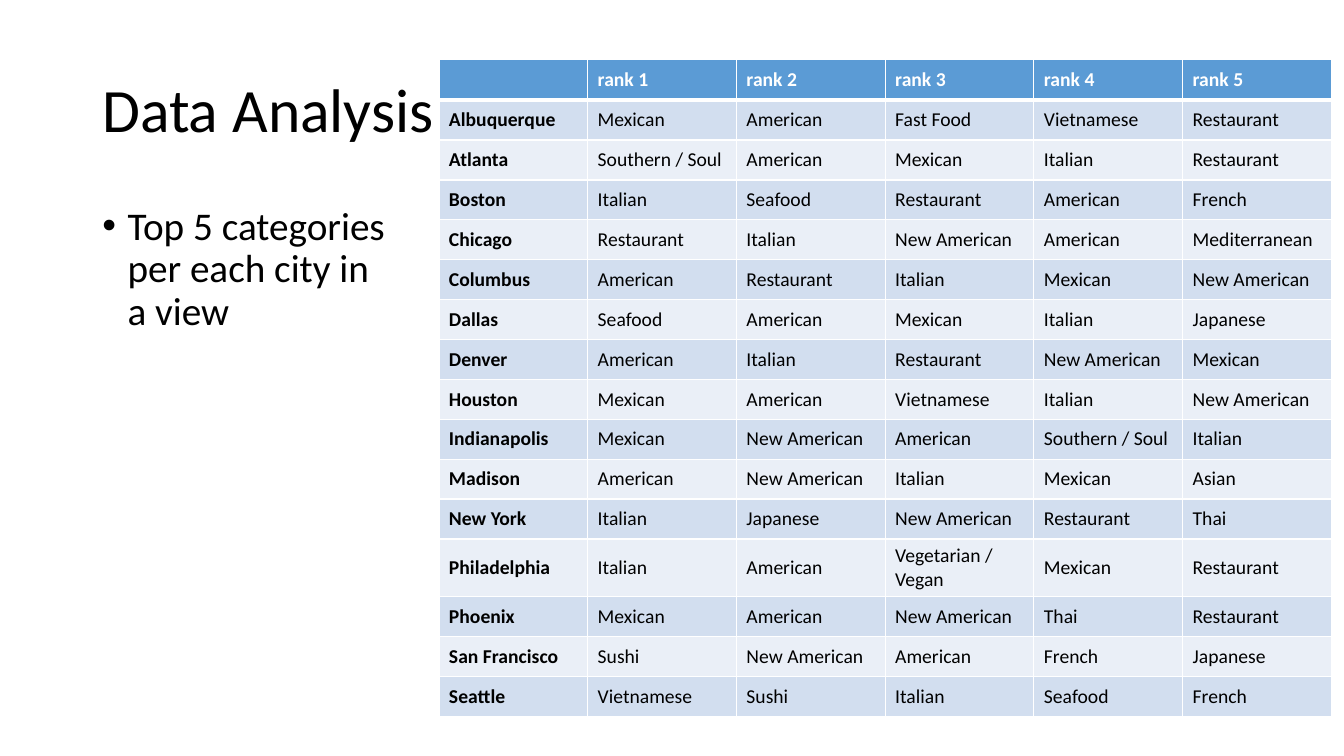
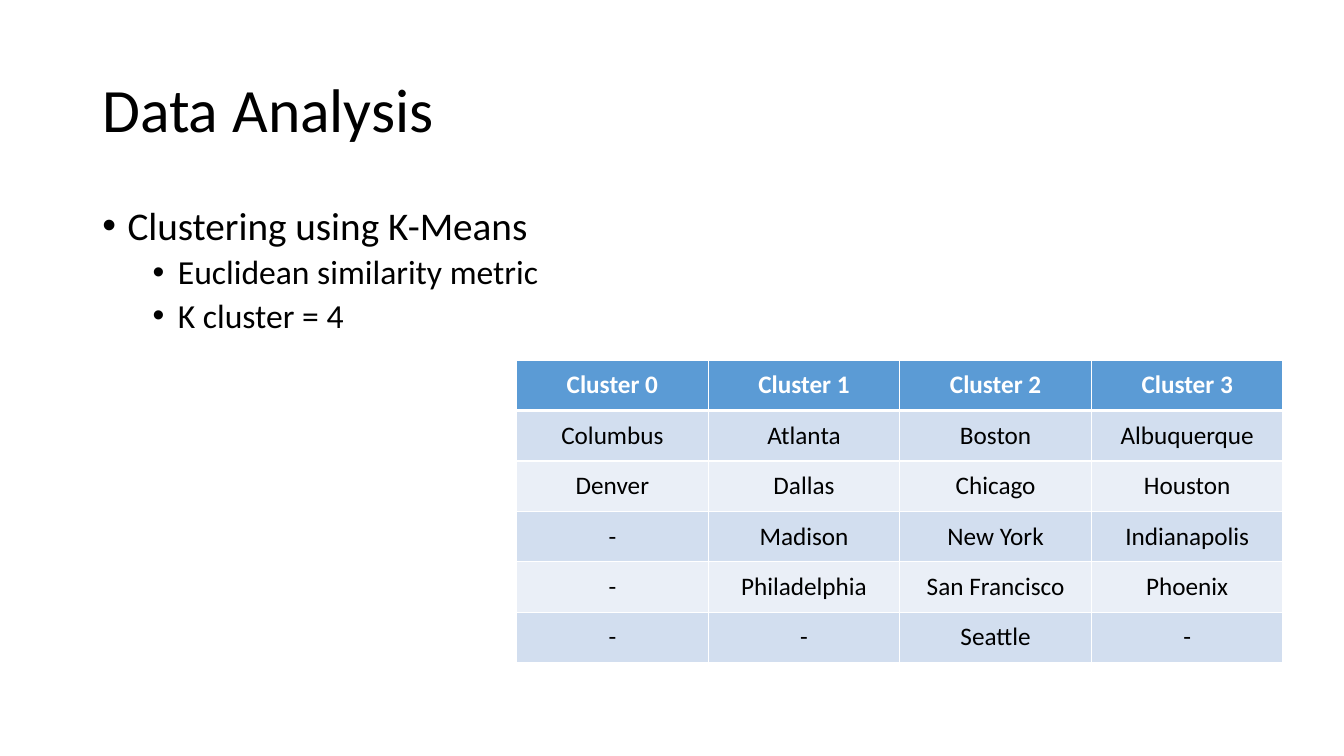
import dataclasses

import pptx
import pptx.dml.color
import pptx.enum.text
import pptx.oxml
import pptx.oxml.ns
import pptx.util

ANCHOR = pptx.enum.text.MSO_ANCHOR
ALIGN = pptx.enum.text.PP_ALIGN
SCALE = 9525


def px(num):
    return pptx.util.Emu(num * SCALE)


@dataclasses.dataclass(frozen=True)
class Theme:
    font: str = "Calibri"
    ink: str = "000000"
    white: str = "FFFFFF"
    head: str = "5B9BD5"
    bands: tuple = ("D2DEEF", "EAEFF7")
    title: int = 44
    levels: tuple = ((28, 24, 10), (24, 72, 5))
    hang: int = 24
    lead: float = 0.9
    thin: int = 1
    thick: int = 3


def apply(item, values):
    for name, value in values.items():
        setattr(item, name, value)


class Deck:
    def __init__(self, theme):
        self.theme = theme
        self.show = pptx.Presentation()
        apply(self.show, {"slide_width": px(1280), "slide_height": px(720)})
        self.slide = None

    def page(self, title):
        self.slide = self.show.slides.add_slide(self.show.slide_layouts[6])
        para = self.frame((88, 38, 1104, 139), ANCHOR.MIDDLE).paragraphs[0]
        para.line_spacing = self.theme.lead
        self.label(para, title, self.theme.title)

    def frame(self, box, anchor):
        frame = self.slide.shapes.add_textbox(*map(px, box)).text_frame
        apply(frame, {"word_wrap": True, "vertical_anchor": anchor})
        return frame

    def label(self, para, text, size, color=None, bold=False):
        run = para.add_run()
        run.text = text
        apply(run.font, {
            "name": self.theme.font,
            "size": pptx.util.Pt(size),
            "bold": bold,
        })
        run.font.color.rgb = pptx.dml.color.RGBColor.from_string(
            color or self.theme.ink)

    def bullets(self, box, items):
        frame = self.frame(box, ANCHOR.TOP)
        for index, (level, text) in enumerate(items):
            para = frame.add_paragraph() if index else frame.paragraphs[0]
            size, left, gap = self.theme.levels[level]
            apply(para, {
                "level": level,
                "line_spacing": self.theme.lead,
                "space_before": pptx.util.Pt(gap),
            })
            props = para._p.get_or_add_pPr()
            props.set("marL", str(px(left)))
            props.set("indent", str(-px(self.theme.hang)))
            for tag, key, value in (("buFont", "typeface", "Arial"),
                                    ("buChar", "char", "•")):
                mark = pptx.oxml.ns.qn("a:" + tag)
                props.append(props.makeelement(mark, {key: value}))
            self.label(para, text, size)

    def border(self, cell, sides):
        props = cell._tc.get_or_add_tcPr()
        space = pptx.oxml.ns.nsdecls("a")
        for index, (side, width) in enumerate(sides.items()):
            line = pptx.oxml.parse_xml(
                f'<a:ln{side} {space} w="{pptx.util.Pt(width)}">'
                f'<a:solidFill><a:srgbClr val="{self.theme.white}"/>'
                f'</a:solidFill></a:ln{side}>')
            props.insert(index, line)

    def table(self, place, width, rows, heights, size, align, lead=False):
        theme = self.theme
        count = len(rows[0])
        box = (*place, width, sum(heights))
        table = self.slide.shapes.add_table(
            len(rows), count, *map(px, box)).table
        apply(table, {"first_row": False, "horz_banding": False})
        for column in table.columns:
            column.width = px(width) // count
        for r, row in enumerate(rows):
            table.rows[r].height = px(heights[r])
            fill = theme.bands[(r - 1) % 2] if r else theme.head
            sides = {
                "L": theme.thin,
                "R": theme.thin,
                "T": theme.thick if r == 1 else theme.thin,
                "B": theme.thin if r else theme.thick,
            }
            for c, text in enumerate(row):
                cell = table.cell(r, c)
                cell.vertical_anchor = ANCHOR.MIDDLE
                cell.fill.solid()
                cell.fill.fore_color.rgb = (
                    pptx.dml.color.RGBColor.from_string(fill))
                self.border(cell, sides)
                para = cell.text_frame.paragraphs[0]
                para.alignment = align
                self.label(para, text, size,
                           theme.ink if r else theme.white,
                           r == 0 or (lead and c == 0))


RANKS = [
    ("", *(f"rank {n}" for n in range(1, 6))),
    ("Albuquerque", "Mexican", "American", "Fast Food", "Vietnamese", "Restaurant"),
    ("Atlanta", "Southern / Soul", "American", "Mexican", "Italian", "Restaurant"),
    ("Boston", "Italian", "Seafood", "Restaurant", "American", "French"),
    ("Chicago", "Restaurant", "Italian", "New American", "American", "Mediterranean"),
    ("Columbus", "American", "Restaurant", "Italian", "Mexican", "New American"),
    ("Dallas", "Seafood", "American", "Mexican", "Italian", "Japanese"),
    ("Denver", "American", "Italian", "Restaurant", "New American", "Mexican"),
    ("Houston", "Mexican", "American", "Vietnamese", "Italian", "New American"),
    ("Indianapolis", "Mexican", "New American", "American", "Southern / Soul", "Italian"),
    ("Madison", "American", "New American", "Italian", "Mexican", "Asian"),
    ("New York", "Italian", "Japanese", "New American", "Restaurant", "Thai"),
    ("Philadelphia", "Italian", "American", "Vegetarian / Vegan", "Mexican", "Restaurant"),
    ("Phoenix", "Mexican", "American", "New American", "Thai", "Restaurant"),
    ("San Francisco", "Sushi", "New American", "American", "French", "Japanese"),
    ("Seattle", "Vietnamese", "Sushi", "Italian", "Seafood", "French"),
]

GROUPS = [
    tuple(f"Cluster {n}" for n in range(4)),
    ("Columbus", "Atlanta", "Boston", "Albuquerque"),
    ("Denver", "Dallas", "Chicago", "Houston"),
    ("-", "Madison", "New York", "Indianapolis"),
    ("-", "Philadelphia", "San Francisco", "Phoenix"),
    ("-", "-", "Seattle", "-"),
]


def main():
    deck = Deck(Theme())

    deck.page("Data Analysis")
    deck.bullets((88, 192, 299, 457),
                 [(0, "Top 5 categories per each city in a view")])
    tall = [55 if row[0] == "Philadelphia" else 38 for row in RANKS]
    deck.table((418, 57), 850, RANKS, tall, 14, ALIGN.LEFT, lead=True)

    deck.page("Data Analysis")
    deck.bullets((88, 192, 544, 457), [
        (0, "Clustering using K-Means"),
        (1, "Euclidean similarity metric"),
        (1, "K cluster = 4"),
    ])
    deck.table((492, 343), 730, GROUPS, [48] * len(GROUPS), 18, ALIGN.CENTER)

    deck.show.save("out.pptx")


if __name__ == "__main__":
    main()
